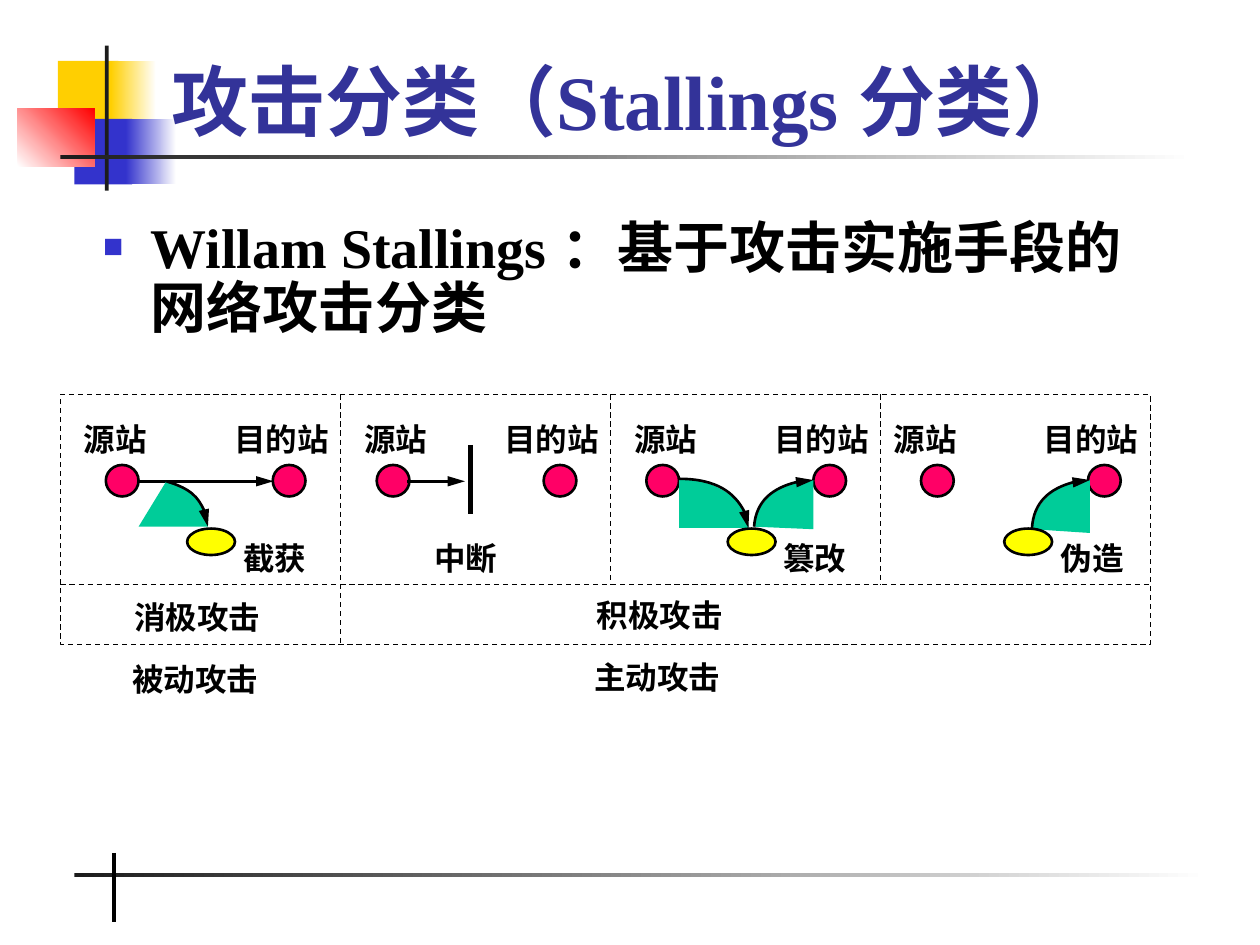
from collections import namedtuple
from copy import deepcopy
from dataclasses import dataclass

from lxml.etree import SubElement
from pptx import Presentation
from pptx.dml.color import RGBColor
from pptx.enum.dml import MSO_LINE
from pptx.enum.shapes import MSO_CONNECTOR, MSO_SHAPE
from pptx.enum.text import MSO_ANCHOR
from pptx.oxml.ns import qn
from pptx.util import Inches, Pt


@dataclass(frozen=True)
class Theme:
    font: str = "Times New Roman"
    title_size: int = 44
    body_size: int = 32
    label_size: int = 18
    title: str = "333399"
    ink: str = "000000"
    dark: str = "1C1C1C"
    white: str = "FFFFFF"
    gold: str = "FFCF01"
    blue: str = "3333CC"
    red: str = "FF0000"
    station: str = "FF0066"
    attacker: str = "FFFF00"
    flow: str = "00CC99"
    hairline: float = 0.75
    outline: float = 1.5
    rule: float = 2.25
    barrier: float = 3


T = Theme()
Box = namedtuple("Box", "x y w h")
WIDTH, HEIGHT = Inches(10), Inches(7.5)
COL, ROW = WIDTH / 100, HEIGHT / 75
STATION_GAP = 13.25


def rgb(value):
    return RGBColor.from_string(value)


def emu(box, x, y):
    return int((box.x + x) * COL), int((box.y + y) * ROW)


def place(box, x, y, w, h):
    return *emu(box, x, y), int(w * COL), int(h * ROW)


def style_line(line, width, dash=False, arrow=False):
    line.color.rgb = rgb(T.ink)
    line.width = Pt(width)
    if dash:
        line.dash_style = MSO_LINE.DASH
    if arrow:
        SubElement(line._get_or_add_ln(), qn("a:tailEnd"), type="triangle", w="med", len="lg")


def add_shape(s, kind, box, x, y, w, h, fill=None, fade=None, angle=0, line=None, dash=False):
    sp = s.shapes.add_shape(kind, *place(box, x, y, w, h))
    sp.shadow.inherit = False
    if fade:
        sp.fill.gradient()
        sp.fill.gradient_angle = angle
        for stop, color in zip(sp.fill.gradient_stops, (fill, fade)):
            stop.color.rgb = rgb(color)
    elif fill:
        sp.fill.solid()
        sp.fill.fore_color.rgb = rgb(fill)
    else:
        sp.fill.background()
    if line:
        style_line(sp.line, line, dash)
    else:
        sp.line.fill.background()


def add_line(s, box, start, end, width, dash=False, arrow=False):
    cx = s.shapes.add_connector(MSO_CONNECTOR.STRAIGHT, *emu(box, *start), *emu(box, *end))
    style_line(cx.line, width, dash, arrow)
    SubElement(cx._element.spPr, qn("a:effectLst"))


def add_run(p, text, size, color):
    r = p.add_run()
    r.text = text
    r.font.name = T.font
    r.font.size = Pt(size)
    r.font.bold = True
    r.font.color.rgb = rgb(color)


def add_label(s, box, x, y, text):
    w = 1.4 + 2.5 * len(text)
    tf = s.shapes.add_textbox(*place(box, x, y, w, 3.7)).text_frame
    tf.word_wrap = False
    tf.margin_left = tf.margin_right = Inches(0.06)
    tf.margin_top = tf.margin_bottom = Inches(0.03)
    add_run(tf.paragraphs[0], text, T.label_size, T.ink)


def add_flow(s, box, curve, corner):
    points = [emu(box, *pt) for pt in (*curve, corner)]
    fb = s.shapes.build_freeform(*points[0])
    fb.add_line_segments(points[1:], close=True)
    sp = fb.convert_to_shape()
    sp.shadow.inherit = False
    sp.fill.solid()
    sp.fill.fore_color.rgb = rgb(T.flow)
    style_line(sp.line, T.outline, arrow=True)

    area = sp._element.find(".//" + qn("a:path"))
    bend = SubElement(area, qn("a:cubicBezTo"))
    for segment in area.findall(qn("a:lnTo"))[:3]:
        bend.append(segment[0])
        area.remove(segment)
    area.insert(1, bend)
    arc = deepcopy(area)
    for part in arc[2:]:
        arc.remove(part)
    arc.set("fill", "none")
    area.set("stroke", "0")
    area.addprevious(arc)


def add_corner_motif(s, box):
    for x, y, w, h, fill, fade, angle in (
        (3.2, 1.2, 4.8, 5.2, T.gold, None, 0),
        (7.4, 1.2, 3.6, 5.2, T.gold, T.white, 0),
        (4.5, 5.8, 4.6, 5.2, T.blue, None, 0),
        (8.6, 5.8, 4, 5.2, T.blue, T.white, 0),
        (0, 5, 6.1, 4.6, T.white, T.red, 45),
        (6.93, 0, 0.3, 11.5, T.dark, None, 0),
        (3.4, 8.7, 90, 0.3, T.dark, T.white, 0),
    ):
        add_shape(s, MSO_SHAPE.RECTANGLE, box, x, y, w, h, fill, fade, angle)


def add_footer_rule(s, box):
    add_shape(s, MSO_SHAPE.RECTANGLE, box, 0, 1.6, box.w, 0.3, T.dark, T.white)
    add_line(s, box, (3.13, 0), (3.13, box.h), T.rule)


def add_title(s, box):
    tf = s.shapes.add_textbox(*place(box, 0, 0, box.w, box.h)).text_frame
    tf.word_wrap = True
    tf.vertical_anchor = MSO_ANCHOR.BOTTOM
    add_run(tf.paragraphs[0], "攻击分类（Stallings 分类）", T.title_size, T.title)


def add_body(s, box):
    tf = s.shapes.add_textbox(*place(box, 0, 0, box.w, box.h)).text_frame
    tf.word_wrap = True
    p = tf.paragraphs[0]
    p.line_spacing = Pt(34)
    p.space_before = Pt(0.2 * T.body_size)
    pPr = p._p.get_or_add_pPr()
    pPr.set("marL", str(Inches(0.38)))
    pPr.set("indent", str(-Inches(0.38)))
    SubElement(SubElement(pPr, qn("a:buClr")), qn("a:srgbClr"), val=T.blue)
    SubElement(pPr, qn("a:buSzPct"), val="60000")
    SubElement(pPr, qn("a:buFont"), typeface=T.font)
    SubElement(pPr, qn("a:buChar"), char="■")
    add_run(p, "Willam Stallings ：基于攻击实施手段的网络攻击分类", T.body_size, T.ink)


def add_attack(s, box, name, name_x, station_x, label_xs, flows=(), attacker_x=None,
               arrow=None, barrier_x=None):
    for x in (station_x, station_x + STATION_GAP):
        add_shape(s, MSO_SHAPE.OVAL, box, x, 5.6, 2.6, 2.5, T.station, line=T.outline)
    if arrow:
        add_line(s, box, (arrow[0], 6.9), (arrow[1], 6.9), T.outline, arrow=True)
    if barrier_x:
        add_line(s, box, (barrier_x, 4), (barrier_x, 9.5), T.barrier)
    for curve, corner in flows:
        add_flow(s, box, curve, corner)
    if attacker_x:
        add_shape(s, MSO_SHAPE.OVAL, box, attacker_x, 10.65, 3.8, 2.1, T.attacker, line=T.outline)
    for x, text in zip(label_xs, ("源站", "目的站")):
        add_label(s, box, x, 1.7, text)
    add_label(s, box, name_x, 11.15, name)


def add_diagram(s, box):
    edges = (0, 22.2, 43.65, 65.1, box.w)
    split = 15.1
    panels = [Box(box.x + a, box.y, b - a, split) for a, b in zip(edges, edges[1:])]
    add_attack(s, panels[0], "截获", 13.9, 3.6, (1.25, 13.2), attacker_x=10.05, arrow=(6.2, 16.9),
               flows=[(((8.4, 6.9), (10.4, 7.5), (11.7, 8.9), (11.7, 10.5)), (6.2, 10.5))])
    add_attack(s, panels[1], "中断", 6.85, 2.9, (1.3, 12.4), arrow=(5.3, 9.9), barrier_x=10.33)
    add_attack(s, panels[2], "篡改", 13.1, 2.85, (1.3, 12.4), attacker_x=9.3,
               flows=[(((5.45, 6.7), (8.45, 6.7), (10.95, 8.5), (10.95, 10.6)), (5.45, 10.6)),
                      (((11.4, 10.5), (11.55, 8.4), (13.65, 6.8), (16.1, 6.8)), (16.1, 10.7))])
    add_attack(s, panels[3], "伪造", 13.7, 3.2, (0.45, 12.35), attacker_x=9.8,
               flows=[(((12, 10.7), (12.1, 8.5), (14.2, 6.8), (16.6, 6.8)), (16.6, 11))])
    add_shape(s, MSO_SHAPE.RECTANGLE, box, 0, 0, box.w, box.h, line=T.hairline, dash=True)
    add_line(s, box, (0, split), (box.w, split), T.hairline, dash=True)
    for x, bottom in zip(edges[1:-1], (box.h, split, split)):
        add_line(s, box, (x, 0), (x, bottom), T.hairline, dash=True)
    for x, y, text in ((5.25, 15.85, "消极攻击"), (41.95, 15.7, "积极攻击"),
                       (5.1, 20.8, "被动攻击"), (41.75, 20.6, "主动攻击")):
        add_label(s, box, x, y, text)


def main():
    prs = Presentation()
    prs.slide_width, prs.slide_height = WIDTH, HEIGHT
    s = prs.slides.add_slide(prs.slide_layouts[6])
    add_corner_motif(s, Box(1.4, 3.63, 93.4, 11.5))
    add_footer_rule(s, Box(5.9, 67.7, 90, 5.5))
    add_body(s, Box(7.2, 17, 85, 45))
    add_title(s, Box(12.6, 1.6, 85.2, 10.5))
    add_diagram(s, Box(4.8, 31.3, 86.5, 19.85))
    prs.save("out.pptx")


if __name__ == "__main__":
    main()
